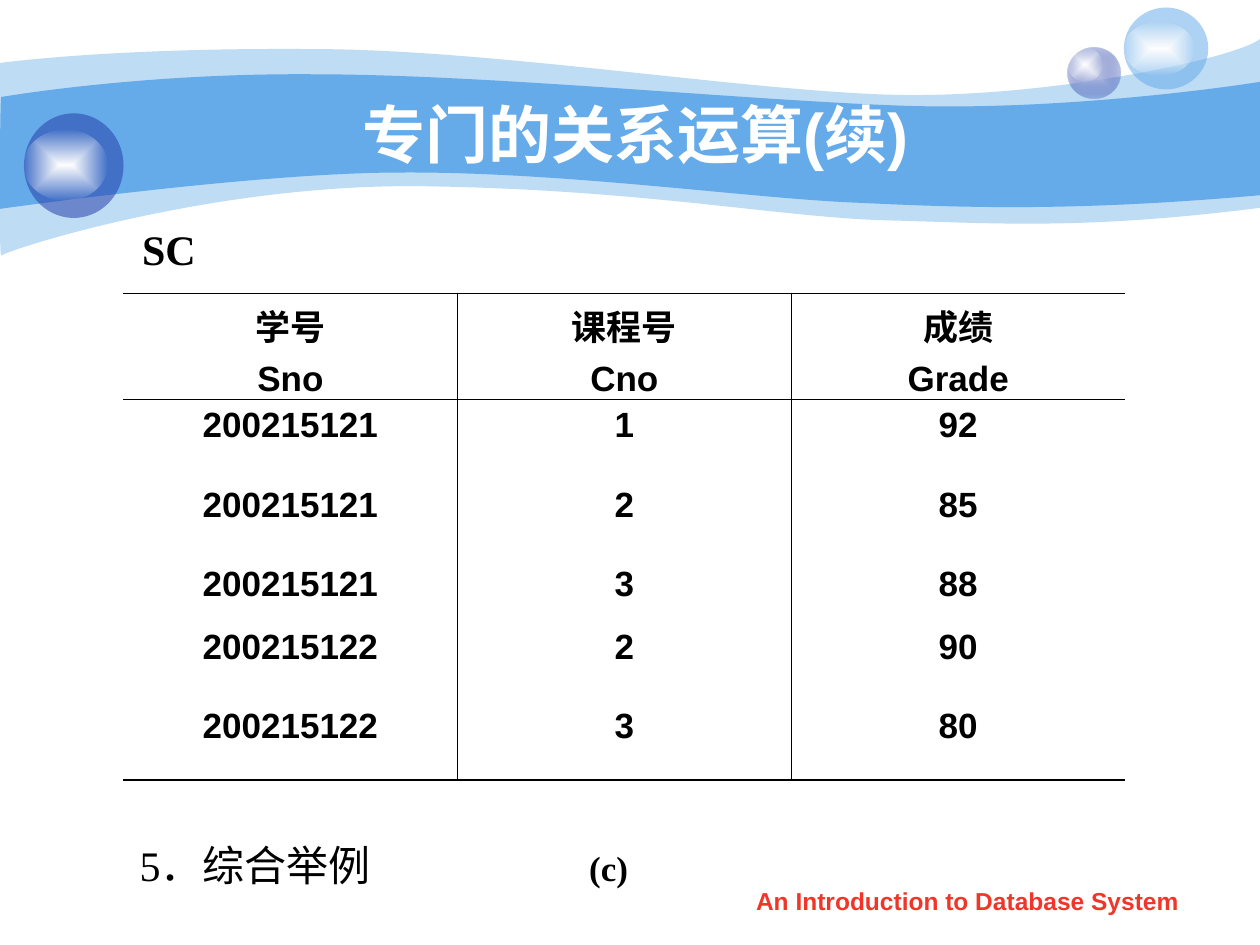
"""Build the SC relation table slide with its wave banner."""
import lxml.etree
import pptx
import pptx.dml.color
import pptx.enum.shapes
import pptx.enum.text
import pptx.oxml.ns
import pptx.util

Inches, Pt = pptx.util.Inches, pptx.util.Pt
ALIGN, ANCHOR = pptx.enum.text.PP_ALIGN, pptx.enum.text.MSO_ANCHOR
qn = pptx.oxml.ns.qn

THEME = {
    "sky": "65AAE9", "navy": "233DA9", "mist": "C6CCE8", "white": "FFFFFF", "glow": "FEFEFE",
    "ink": "000000", "red": "F03628", "sans": "Arial", "serif": "Times New Roman",
    "title": 36, "label": 24, "cell": 20, "footer": 14, "rule": 1.08, "hairline": 0.45,
}

TITLE = "专门的关系运算(续)"
HEADER = [("学号", "Sno"), ("课程号", "Cno"), ("成绩", "Grade")]
RECORDS = [
    ("200215121", "1", "92"),
    ("200215121", "2", "85"),
    ("200215121", "3", "88"),
    ("200215122", "2", "90"),
    ("200215122", "3", "80"),
]
ROW_HEIGHTS = [0.84, 0.63, 0.63, 0.5, 0.63, 0.63]
COLUMN_WIDTH = 2.65
HEADER_BOTTOM_MARGIN = 0.01

LABELS = [
    ("(c)", (4.37, 6.67, 0.92, 0.77), {"size": "cell", "font": "serif", "bold": True}),
    ("SC", (0.75, 1.7, 1.18, 0.55),
     {"size": "label", "font": "serif", "bold": True, "anchor": ANCHOR.MIDDLE, "wrap": False}),
    ("5．综合举例", (1.01, 6.61, 2.19, 0.5),
     {"size": "label", "font": "serif", "align": ALIGN.LEFT, "wrap": False}),
    ("An Introduction to Database System", (5.71, 6.98, 3.94, 0.35),
     {"size": "footer", "color": "red", "bold": True}),
]

WAVES = [
    ([("sky", 41)], (0, 0.5), [
        (0.24, 0.47, 1.07, 0.38, 2.47, 0.39), (3.86, 0.39, 5.75, 0.7, 6.99, 0.75),
        (8.22, 0.8, 9.8, 0.47, 10, 0.31), (10, 1.65),
        (8.58, 1.83, 7.87, 1.77, 7.05, 1.75), (6.22, 1.73, 5.15, 1.51, 3.43, 1.48),
        (1.72, 1.44, 0.04, 1.99, 0.01, 2.03), (-0.01, 2.08, 0, 0.75, 0, 0.5)]),
    ([("sky", 100)], (0.01, 0.77), [
        (0.02, 0.77, 1.1, 0.58, 2.48, 0.59), (3.86, 0.59, 5.95, 0.8, 7.18, 0.84),
        (8.41, 0.88, 9.76, 0.69, 10, 0.65), (10, 1.55),
        (8.53, 1.68, 7.65, 1.65, 6.82, 1.61), (5.99, 1.58, 4.47, 1.36, 3.17, 1.37),
        (2.03, 1.37, -0.02, 1.66, -0.01, 1.66), (0, 1.66, 0, 0.77, 0.01, 0.77)]),
]

HIGHLIGHT = [("white", 100), ("glow", 0)]
BUBBLES = [
    ([("mist", 100), ("navy", 31)], (8.47, 0.38, 0.42, 0.4), (8.47, 0.38, 0.28, 0.27)),
    ([("sky", 53)], (8.92, 0.06, 0.67, 0.65), (8.92, 0.17, 0.56, 0.43)),
    ([("navy", 53)], (0.19, 0.9, 0.79, 0.83), (0.19, 1.03, 0.66, 0.56)),
]


def inches(box):
    return [Inches(v) for v in box]


def add_color(parent, name, alpha=100):
    color = lxml.etree.SubElement(parent, qn("a:srgbClr"), val=THEME[name])
    if alpha < 100:
        lxml.etree.SubElement(color, qn("a:alpha"), val=str(alpha * 1000))


def paint(sp, stops):
    sp.shadow.inherit = False
    sp.line.fill.background()
    if len(stops) == 1:
        sp.fill.solid()
        solid = sp.element.spPr.find(qn("a:solidFill"))
        add_color(solid, *stops[0])
        return
    sp.fill.gradient()
    grad = sp.element.spPr.find(qn("a:gradFill"))
    for child in list(grad):
        grad.remove(child)
    gs_list = lxml.etree.SubElement(grad, qn("a:gsLst"))
    for i, stop in enumerate(stops):
        add_color(lxml.etree.SubElement(gs_list, qn("a:gs"), pos=str(i * 100000)), *stop)
    center = lxml.etree.SubElement(grad, qn("a:path"), path="rect")
    lxml.etree.SubElement(center, qn("a:fillToRect"), {side: "50000" for side in "ltrb"})


def add_wave(s, stops, start, segments):
    points = [inches(seg[i:i + 2]) for seg in segments for i in range(0, len(seg), 2)]
    builder = s.shapes.build_freeform(*inches(start))
    builder.add_line_segments(points, close=True)
    sp = builder.convert_to_shape()
    lines = iter(list(sp.element.iter(qn("a:lnTo"))))
    for seg in segments:
        first = next(lines)
        if len(seg) == 6:
            curve = lxml.etree.Element(qn("a:cubicBezTo"))
            first.addprevious(curve)
            for line in (first, next(lines), next(lines)):
                curve.append(line[0])
                line.getparent().remove(line)
    paint(sp, stops)


def add_bubble(s, stops, ball, shine):
    group = s.shapes.add_group_shape()
    for box, fill in ((ball, stops), (shine, HIGHLIGHT)):
        paint(group.shapes.add_shape(pptx.enum.shapes.MSO_SHAPE.OVAL, *inches(box)), fill)


def write(tf, *lines, size, color="ink", font="sans", bold=False, align=ALIGN.CENTER,
          anchor=ANCHOR.TOP, wrap=True, gap=0):
    tf.word_wrap = wrap
    tf.vertical_anchor = anchor
    for i, line in enumerate(lines):
        p = tf.add_paragraph() if i else tf.paragraphs[0]
        p.alignment = align
        if i:
            p.space_before = Pt(gap)
        r = p.add_run()
        r.text = line
        r.font.name, r.font.size, r.font.bold = THEME[font], Pt(THEME[size]), bold
        r.font.color.rgb = pptx.dml.color.RGBColor.from_string(THEME[color])


def set_borders(cell, **widths):
    tc_pr = cell._tc.get_or_add_tcPr()
    for side in "LRTB":
        width = widths.get(side)
        ln = lxml.etree.SubElement(tc_pr, qn("a:ln" + side), w=str(Pt(THEME[width]) if width else 0))
        if width:
            add_color(lxml.etree.SubElement(ln, qn("a:solidFill")), "ink")
        else:
            lxml.etree.SubElement(ln, qn("a:noFill"))


def add_scores(s):
    rows = [HEADER] + [[(value,) for value in record] for record in RECORDS]
    n_rows, n_cols = len(rows), len(HEADER)
    box = (0.98, 2.33, COLUMN_WIDTH * n_cols, sum(ROW_HEIGHTS))
    table = s.shapes.add_table(n_rows, n_cols, *inches(box)).table
    table.first_row = table.horz_banding = False
    for column in table.columns:
        column.width = Inches(COLUMN_WIDTH)
    for i, lines_by_column in enumerate(rows):
        table.rows[i].height = Inches(ROW_HEIGHTS[i])
        for j, lines in enumerate(lines_by_column):
            cell = table.cell(i, j)
            set_borders(
                cell,
                L="hairline" if j else None,
                R="hairline" if j < n_cols - 1 else None,
                T={0: "rule", 1: "hairline"}.get(i),
                B={0: "hairline", n_rows - 1: "rule"}.get(i),
            )
            cell.fill.background()
            if i == 0:
                cell.margin_bottom = Inches(HEADER_BOTTOM_MARGIN)
            write(cell.text_frame, *lines, size="cell", bold=True, gap=5)


def main():
    prs = pptx.Presentation()
    prs.slide_width, prs.slide_height = Inches(10), Inches(7.5)
    s = prs.slides.add_slide(prs.slide_layouts[5])
    for wave in WAVES:
        add_wave(s, *wave)
    for bubble in BUBBLES:
        add_bubble(s, *bubble)
    title = s.shapes.title
    title.element.getparent().append(title.element)
    title.left, title.top, title.width, title.height = inches((1, 0.75, 8.08, 0.62))
    title.text_frame.auto_size = pptx.enum.text.MSO_AUTO_SIZE.NONE
    write(title.text_frame, TITLE, size="title", color="white", bold=True, anchor=ANCHOR.MIDDLE)
    add_scores(s)
    for text, box, style in LABELS:
        write(s.shapes.add_textbox(*inches(box)).text_frame, text, **style)
    prs.save("out.pptx")


if __name__ == "__main__":
    main()
